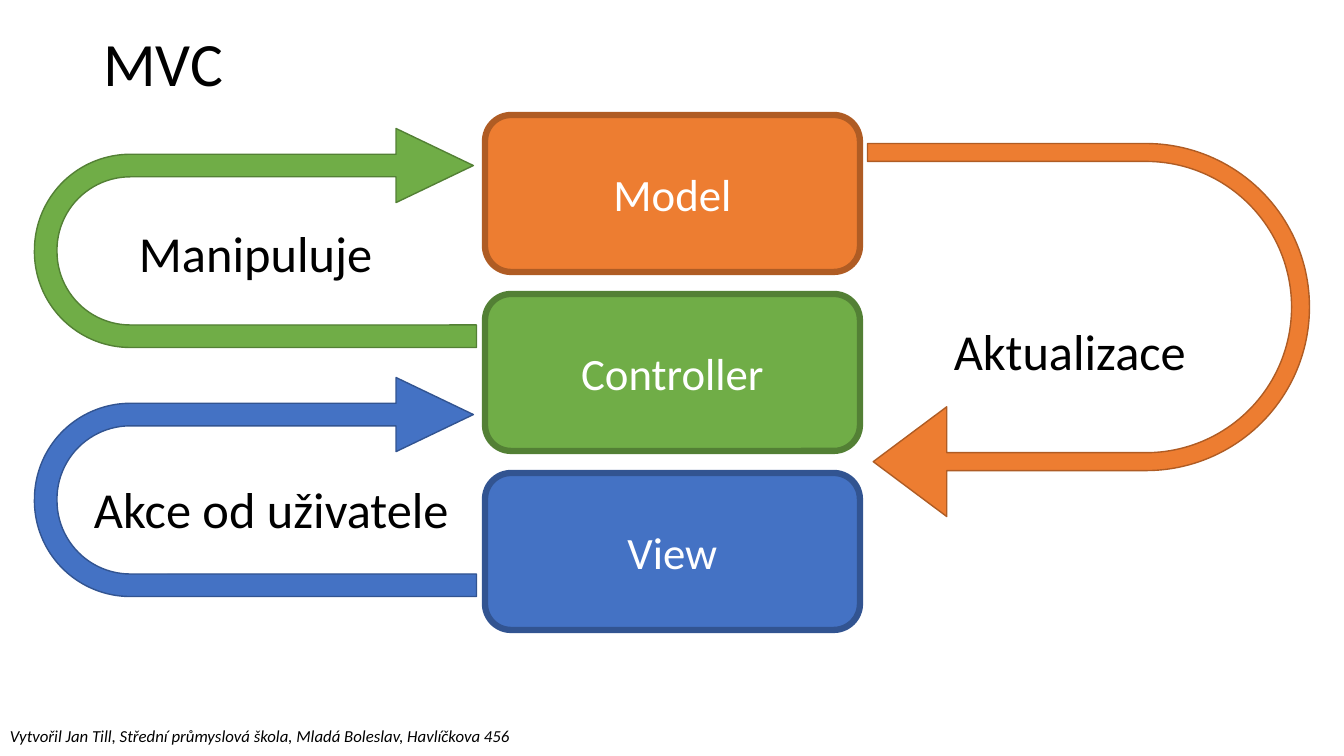
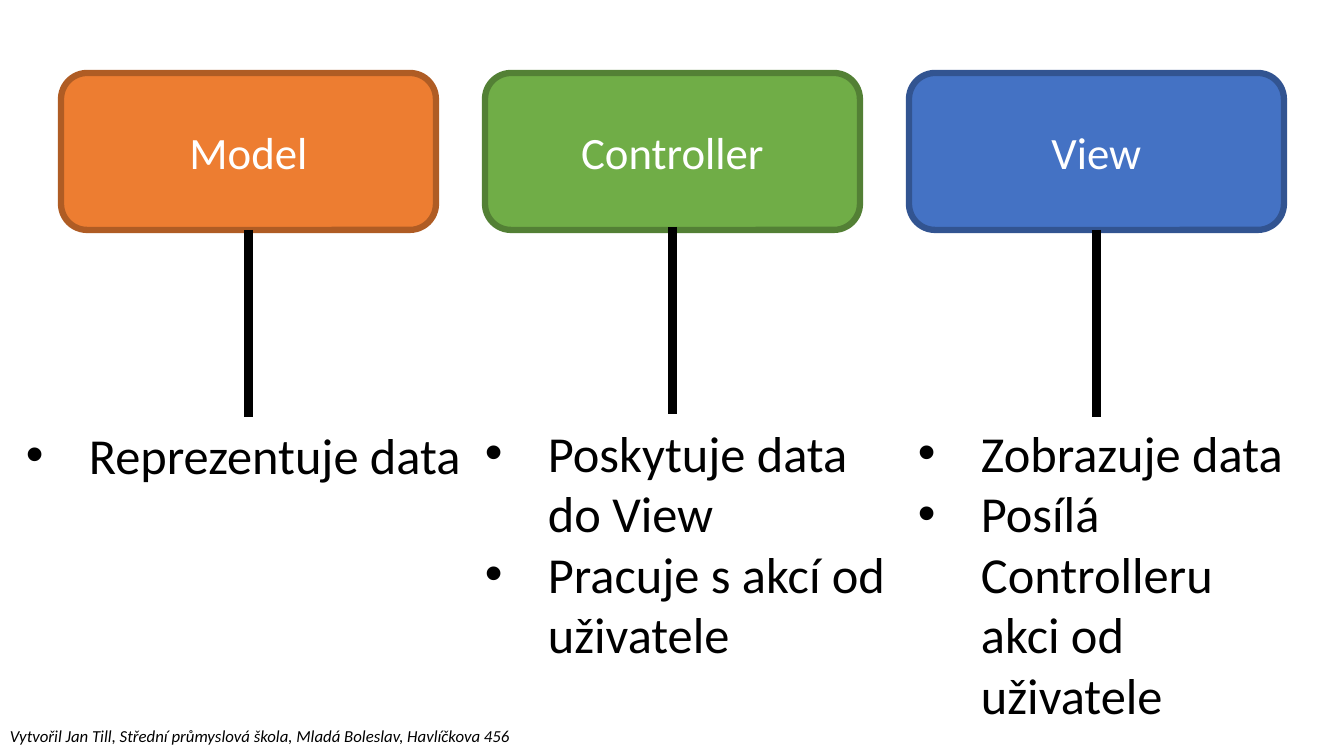
import pptx
import pptx.util
import pptx.dml.color
import pptx.enum.shapes
import pptx.enum.text
import pptx.oxml.ns
import lxml.etree

COLORS = {
    "text": "000000", "box text": "FFFFFF",
    "Model": "ED7D31", "Controller": "70AD47", "View": "4472C4",
    "Model line": "AF5C24", "Controller line": "538035", "View line": "325491",
}
FONT = "Calibri"
SLIDE_SIZE = (1344, 756)
EMU_PER_PIXEL = 914400 / 100.8

TITLE = "MVC"
FOOTER = "Vytvořil Jan Till, Střední průmyslová škola, Mladá Boleslav, Havlíčkova 456"
PARTS = ["Model", "Controller", "View"]

BOX_SIZE = (375, 157)
STACK_ORIGIN, STACK_PITCH = (485, 115), 179
ROW_ORIGIN, ROW_PITCH = (61, 73), 424
LEFT_ARROW = [0.103, 0.169, 0.353, 0.438, 0.993]
RIGHT_ARROW = [0.048, 0.147, 0.197, 0.469, 0.987]
ARROWS = [
    ("View", (146, 266, 219, 442), 270, LEFT_ARROW),
    ("Controller", (146, 17, 219, 442), 270, LEFT_ARROW),
    ("Model", (902, 109, 373, 442), 90, RIGHT_ARROW),
]
ARROW_LABELS = [
    ("Akce od uživatele", (84, 473)),
    ("Manipuluje", (129, 217)),
    ("Aktualizace", (944, 315)),
]
LABEL_SIZE = (392, 71)

LISTS = [
    (["Reprezentuje data"], (16, 419, 459, 71)),
    (["Poskytuje data do View", "Pracuje s akcí od uživatele"], (475, 417, 424, 254)),
    (["Zobrazuje data", "Posílá Controlleru akci od uživatele"], (908, 417, 390, 377)),
]
STEM_TOPS, STEM_LENGTH = [230, 227, 230], 187
BULLET_INDENT = 63


def emu(pixels):
    return pptx.util.Emu(round(pixels * EMU_PER_PIXEL))


def lengths(values):
    return [emu(value) for value in values]


def color(name):
    return pptx.dml.color.RGBColor.from_string(COLORS[name])


def format_text(text_frame, size, color_name="text", alignment="LEFT", italic=False):
    for paragraph in text_frame.paragraphs:
        paragraph.alignment = getattr(pptx.enum.text.PP_ALIGN, alignment)
        for run in paragraph.runs:
            run.font.name = FONT
            run.font.size = pptx.util.Pt(size)
            run.font.italic = italic
            run.font.color.rgb = color(color_name)


def add_text(slide, text, place, size, italic=False):
    text_frame = slide.shapes.add_textbox(*lengths(place)).text_frame
    text_frame.word_wrap = True
    text_frame.text = text
    format_text(text_frame, size, italic=italic)
    return text_frame


def add_colored_shape(slide, kind, part, place, line_width):
    shape = slide.shapes.add_shape(kind, *lengths(place))
    shape.shadow.inherit = False
    shape.fill.solid()
    shape.fill.fore_color.rgb = color(part)
    shape.line.color.rgb = color(part + " line")
    shape.line.width = pptx.util.Pt(line_width)
    return shape


def add_box(slide, part, left, top):
    kind = pptx.enum.shapes.MSO_SHAPE.ROUNDED_RECTANGLE
    box = add_colored_shape(slide, kind, part, (left, top, *BOX_SIZE), 4.5)
    box.text_frame.text = part
    box.text_frame.vertical_anchor = pptx.enum.text.MSO_ANCHOR.MIDDLE
    format_text(box.text_frame, 32, "box text", "CENTER")


def add_arrow(slide, part, place, rotation, adjustments):
    kind = pptx.enum.shapes.MSO_SHAPE.U_TURN_ARROW
    arrow = add_colored_shape(slide, kind, part, place, 1)
    arrow.rotation = rotation
    for index, value in enumerate(adjustments):
        arrow.adjustments[index] = value


def add_stem(slide, x, top):
    ends = lengths((x, top, x, top + STEM_LENGTH))
    stem = slide.shapes.add_connector(pptx.enum.shapes.MSO_CONNECTOR.STRAIGHT, *ends)
    stem.line.color.rgb = color("text")
    stem.line.width = pptx.util.Pt(6)
    lxml.etree.SubElement(stem._element.spPr, pptx.oxml.ns.qn("a:effectLst"))


def add_list(slide, items, place):
    text_frame = add_text(slide, "\n".join(items), place, 36)
    for paragraph in text_frame.paragraphs:
        properties = paragraph._p.get_or_add_pPr()
        properties.set("marL", str(emu(BULLET_INDENT)))
        properties.set("indent", str(-emu(BULLET_INDENT)))
        font = lxml.etree.SubElement(properties, pptx.oxml.ns.qn("a:buFont"))
        font.set("typeface", "Arial")
        bullet = lxml.etree.SubElement(properties, pptx.oxml.ns.qn("a:buChar"))
        bullet.set("char", "•")


def add_title(slide):
    title = slide.shapes.title
    title.left, title.top, title.width, title.height = lengths((93, -6, 1159, 146))
    title.text_frame.text = TITLE
    title.text_frame.auto_size = pptx.enum.text.MSO_AUTO_SIZE.NONE
    title.text_frame.vertical_anchor = pptx.enum.text.MSO_ANCHOR.MIDDLE
    title.text_frame.paragraphs[0].line_spacing = 0.9
    format_text(title.text_frame, 44)


def add_slide(presentation, layout_name):
    layout = presentation.slide_layouts.get_by_name(layout_name)
    slide = presentation.slides.add_slide(layout)
    add_text(slide, FOOTER, (0, 721, 540, 30), 12, italic=True)
    return slide


def build_diagram(presentation):
    slide = add_slide(presentation, "Title Only")
    add_title(slide)
    left, top = STACK_ORIGIN
    for index, part in enumerate(PARTS):
        add_box(slide, part, left, top + index * STACK_PITCH)
    for arrow in ARROWS:
        add_arrow(slide, *arrow)
    for text, position in ARROW_LABELS:
        add_text(slide, text, (*position, *LABEL_SIZE), 36)


def build_roles(presentation):
    slide = add_slide(presentation, "Blank")
    left, top = ROW_ORIGIN
    for index, part in enumerate(PARTS):
        box_left = left + index * ROW_PITCH
        add_box(slide, part, box_left, top)
        add_stem(slide, box_left + BOX_SIZE[0] / 2, STEM_TOPS[index])
        add_list(slide, *LISTS[index])


presentation = pptx.Presentation()
presentation.slide_width, presentation.slide_height = lengths(SLIDE_SIZE)
build_diagram(presentation)
build_roles(presentation)
presentation.save("out.pptx")
